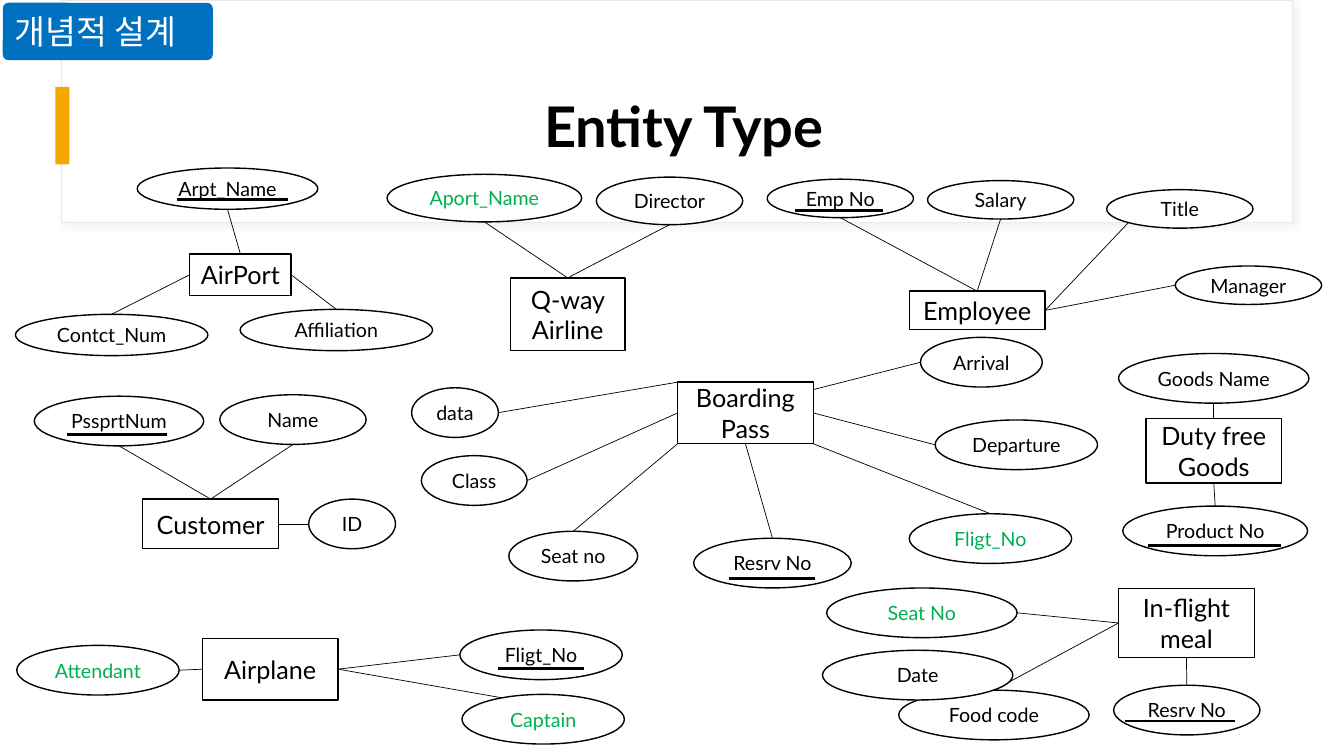
"""Build the Entity Type slide: airline entities with their attributes."""
from collections import namedtuple

from lxml import etree
from pptx import Presentation, util as u
from pptx.dml import color
from pptx.enum import shapes, text
from pptx.oxml import ns

SITES = {
    "top": (0.5, 0), "left": (0, 0.5), "bottom": (0.5, 1), "right": (1, 0.5),
    "upper left": (0, 0), "lower left": (0, 1), "lower right": (1, 1),
    "upper right": (1, 0.12), "lower left arc": (0.15, 0.85),
}
Attribute = namedtuple("Attribute", "name box entity_site own_site foreign underline",
                       defaults=(None, None, False, None))

ENTITIES = [
    ("AirPort", (135.5, 181.5, 72.5, 29.5), [
        Attribute("Arpt_Name", (98, 120, 129, 29.5), "top", "bottom", underline=(126.5, 206, 142.5)),
        Attribute("Contct_Num", (11, 224.5, 137.5, 29.5), "left", "top"),
        Attribute("Affiliation", (171.5, 221, 137.5, 29.5), "right", "top"),
    ]),
    ("Q-way Airline", (364.5, 198.5, 82, 52), [
        Attribute("Aport_Name", (276.5, 124.5, 139, 34), "top", "bottom", foreign=True),
        Attribute("Director", (426, 126.5, 104.5, 34), "top", "bottom"),
    ]),
    ("Employee", (649.5, 208, 97, 27.5), [
        Attribute("Emp No", (548, 128, 104.5, 27.5), "top", "bottom", underline=(568, 630.5, 150.5)),
        Attribute("Salary", (662.5, 129, 104.5, 27.5), "top", "bottom"),
        Attribute("Title", (790.5, 135.5, 104.5, 27.5), "right", "lower left arc"),
        Attribute("Manager", (839.5, 190, 104.5, 27.5), "right", "left"),
    ]),
    ("Boarding Pass", (484, 273, 97, 44), [
        Attribute("Arrival", (657.5, 241, 87, 35.5), "upper right", "left"),
        Attribute("Departure", (668, 300, 116, 35.5), "right", "left"),
        Attribute("Fligt_No", (649.5, 367, 116, 35.5), "lower right", "top", foreign=True),
        Attribute("Resrv No", (495.5, 384.5, 112.5, 35.5), "bottom", "top", underline=(520.5, 582.5, 413.5)),
        Attribute("Seat no", (363.5, 379.5, 92, 35.5), "lower left", "top"),
        Attribute("Class", (301, 325.5, 75.5, 35.5), "left", "right"),
        Attribute("data", (294, 277, 62, 35.5), "upper left", "right"),
    ]),
    ("Customer", (102, 356.5, 97, 35.5), [
        Attribute("PssprtNum", (24.5, 283, 121, 35.5), "top", "bottom", underline=(48, 119, 310.5)),
        Attribute("Name", (157, 282, 104.5, 35.5), "top", "bottom"),
        Attribute("ID", (220.5, 356.5, 62, 35.5), "right", "left"),
    ]),
    ("Airplane", (144.5, 456, 97, 44), [
        Attribute("Fligt_No", (328.5, 450, 116, 35.5), "right", "left", underline=(355.5, 417.5, 477.5)),
        Attribute("Captain", (330, 496, 116, 35.5), "right", "right", foreign=True),
        Attribute("Attendant", (12, 461, 116, 35.5), "left", "right", foreign=True),
    ]),
    ("Duty free\nGoods", (818.5, 299, 97, 46), [
        Attribute("Product No", (802, 361.5, 132, 35.5), "bottom", "top", underline=(820, 915, 389.5)),
        Attribute("Goods Name", (799, 252.5, 136, 35.5), "top", "bottom"),
    ]),
    ("In-flight meal", (799, 420.5, 97, 49), [
        Attribute("Resrv No", (795.5, 489.5, 104.5, 35.5), "bottom", "top", underline=(803.5, 882.5, 515)),
        Attribute("Food code", (642, 493, 136, 35.5), "left", "top"),
        Attribute("Seat No", (590.5, 420, 136, 35.5), "left", "right", foreign=True),
        Attribute("Date", (587.5, 464.5, 136, 35.5)),
    ]),
]


def rgb(value):
    return color.RGBColor.from_string(value)


def apply(target, values):
    for name, value in values.items():
        setattr(target, name, value)


def point(box, site):
    left, top, width, height = box
    across, down = SITES[site]
    return left + across * width, top + down * height


class Diagram:
    """Holds the style and the current slide."""

    font = "Lato"
    black, white, green = "000000", "FFFFFF", "00B050"
    frame = {"margin_left": 0, "margin_right": 0, "margin_top": 0, "margin_bottom": 0,
             "word_wrap": True, "vertical_anchor": text.MSO_ANCHOR.MIDDLE}

    def __init__(self, slide):
        self.slide = slide

    def shape(self, kind, box, fill, line=None, width=1):
        shape = self.slide.shapes.add_shape(kind, *map(u.Pt, box))
        shape.shadow.inherit = False
        shape.fill.solid()
        shape.fill.fore_color.rgb = rgb(fill)
        if line:
            shape.line.color.rgb = rgb(line)
            shape.line.width = u.Pt(width)
        else:
            shape.line.fill.background()
        return shape

    def label(self, shape, words, size, ink, align=text.PP_ALIGN.CENTER, bold=False, **frame):
        apply(shape.text_frame, {**self.frame, **frame})
        shape.text_frame.text = words
        for paragraph in shape.text_frame.paragraphs:
            paragraph.alignment = align
            apply(paragraph.runs[0].font, {"name": self.font, "size": u.Pt(size), "bold": bold})
            paragraph.runs[0].font.color.rgb = rgb(ink)

    def panel(self, box):
        panel = self.shape(shapes.MSO_SHAPE.RECTANGLE, box, self.white, "E9E9E9", 0.75)
        effects = panel._element.spPr.find(ns.qn("a:effectLst"))
        shadow = etree.SubElement(effects, ns.qn("a:outerShdw"), blurRad=str(u.Pt(4)),
                                  dist=str(u.Pt(3)), dir="2700000")
        tint = etree.SubElement(shadow, ns.qn("a:srgbClr"), val="D9D9D9")
        etree.SubElement(tint, ns.qn("a:alpha"), val="30000")

    def title(self, words, box):
        title = self.slide.shapes.add_textbox(*map(u.Pt, box))
        self.label(title, words, 40, self.black, bold=True)

    def tag(self, words, box):
        tag = self.shape(shapes.MSO_SHAPE.ROUNDED_RECTANGLE, box, "0070C0")
        tag.adjustments[0] = 0.1
        self.label(tag, words, 24, self.white, text.PP_ALIGN.LEFT, margin_left=u.Pt(7.2))

    def line(self, start, end, width):
        line = self.slide.shapes.add_connector(
            shapes.MSO_CONNECTOR.STRAIGHT, *map(u.Pt, (*start, *end)))
        line.line.color.rgb = rgb(self.black)
        line.line.width = u.Pt(width)
        etree.SubElement(line._element.spPr, ns.qn("a:effectLst"))

    def attribute(self, attribute, entity_box):
        if attribute.entity_site:
            self.line(point(entity_box, attribute.entity_site),
                      point(attribute.box, attribute.own_site), 0.5)
        oval = self.shape(shapes.MSO_SHAPE.OVAL, attribute.box, self.white, self.black)
        self.label(oval, attribute.name, 14, self.green if attribute.foreign else self.black)
        if attribute.underline:
            left, right, level = attribute.underline
            self.line((left, level), (right, level), 2)

    def entity(self, name, box, attributes):
        entity = self.shape(shapes.MSO_SHAPE.RECTANGLE, box, self.white, self.black)
        self.label(entity, name, 18, self.black)
        for attribute in attributes:
            self.attribute(attribute, box)


def main():
    presentation = Presentation()
    apply(presentation, {"slide_width": u.Pt(960), "slide_height": u.Pt(540)})
    diagram = Diagram(presentation.slides.add_slide(presentation.slide_layouts[6]))
    diagram.panel((44, 0, 879, 159))
    diagram.shape(shapes.MSO_SHAPE.RECTANGLE, (39.5, 62, 10, 55.5), "F5A700")
    diagram.title("Entity Type", (88, 43, 801, 93))
    diagram.tag("개념적 설계", (2, 2, 150, 41))
    for entity in ENTITIES:
        diagram.entity(*entity)
    presentation.save("out.pptx")


if __name__ == "__main__":
    main()
